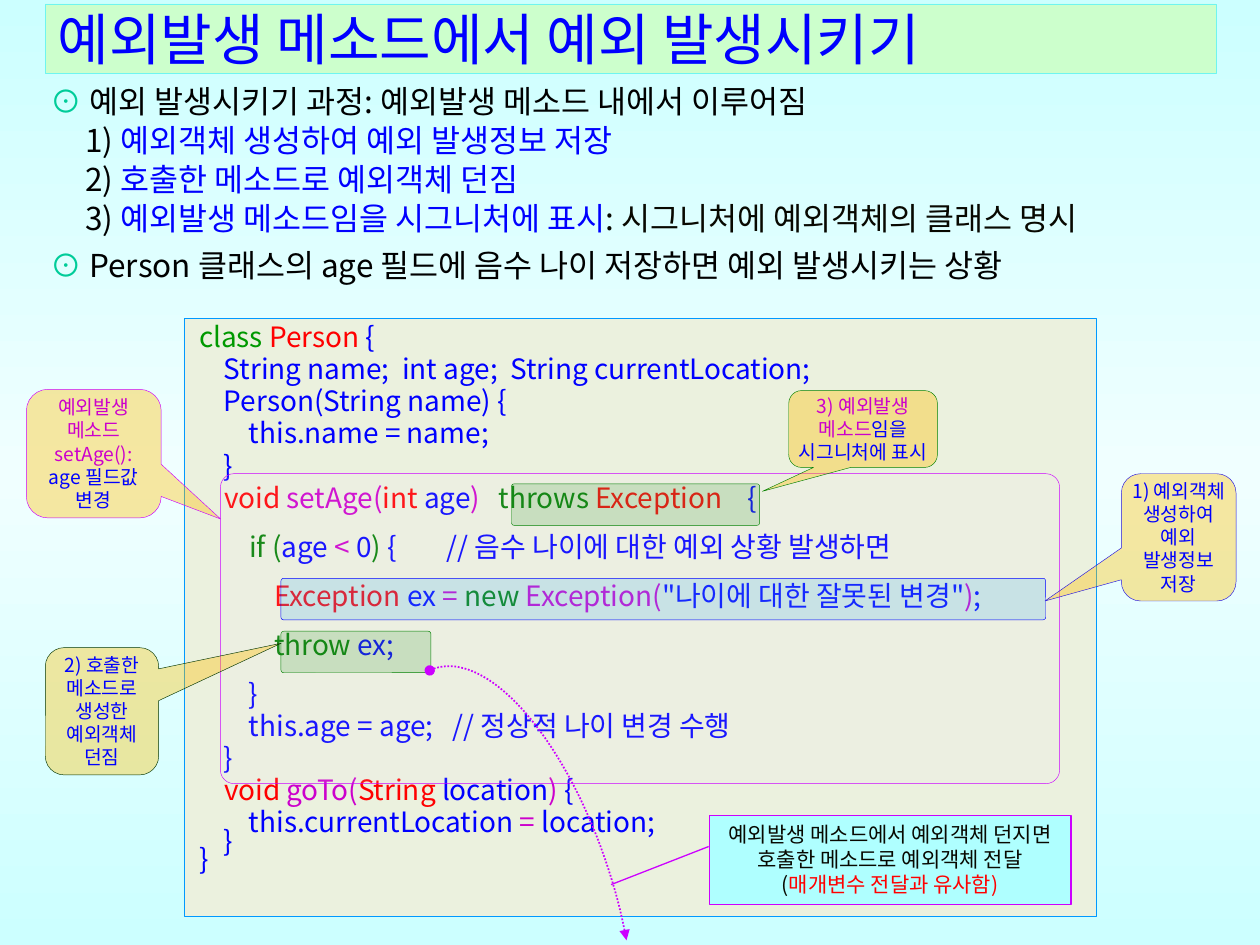
"""Build a slide on throwing exceptions from a Java method."""
from copy import deepcopy
from dataclasses import dataclass
from typing import NamedTuple, Optional

from lxml.etree import SubElement
from pptx import Presentation
from pptx.dml.color import RGBColor
from pptx.enum.dml import MSO_LINE
from pptx.enum.shapes import MSO_SHAPE as Preset
from pptx.enum.text import MSO_ANCHOR as Anchor, MSO_AUTO_SIZE as AutoSize, PP_ALIGN as Align
from pptx.oxml.ns import qn
from pptx.util import Emu, Pt

PX = 9144
FONT = "Noto Sans CJK KR"
BLUE, RED, MAGENTA, GREEN = "0000FF", "FF0000", "CC00CC", "008000"
BLACK, INK, TEAL, VIOLET = "000000", "080800", "00CC99", "CC00FF"
AMBER = "FFC000"


class Run(NamedTuple):
    text: str
    color: str = BLUE
    size: Optional[int] = None


class Para(NamedTuple):
    runs: list
    before: float = 0
    line: object = None
    indent: int = 0


@dataclass
class Panel:
    at: tuple
    fill: str
    line: str
    preset: Preset = Preset.RECTANGLE
    opacity: int = 100
    weight: float = 0.25
    adj: tuple = ()


def px(length: int) -> Emu:
    return Emu(length * PX)


def rgb(color: str) -> RGBColor:
    return RGBColor.from_string(color)


def style(shape, panel: Panel) -> None:
    """Apply fill, opacity and outline."""
    shape.fill.solid()
    shape.fill.fore_color.rgb = rgb(panel.fill)
    if panel.opacity < 100:
        tint = shape._element.spPr.find(qn("a:solidFill"))[0]
        SubElement(tint, qn("a:alpha")).set("val", str(panel.opacity * 1000))
    shape.line.color.rgb = rgb(panel.line)
    shape.line.width = Pt(panel.weight)


def add_panel(slide, panel: Panel):
    """Add one preset shape."""
    shape = slide.shapes.add_shape(panel.preset, *map(px, panel.at))
    shape.shadow.inherit = False
    for index, value in enumerate(panel.adj):
        shape.adjustments[index] = value
    style(shape, panel)
    return shape


def write(shape, paras: list, size: int, align=Align.CENTER, insets=(0, 0), anchor=Anchor.TOP) -> None:
    """Fill a shape with paragraphs, run by run."""
    frame = shape.text_frame
    frame.word_wrap = True
    frame.auto_size = AutoSize.NONE
    frame.vertical_anchor = anchor
    frame.margin_left = frame.margin_right = px(insets[0])
    frame.margin_top = frame.margin_bottom = px(insets[1])
    for index, para in enumerate(paras):
        paragraph = frame.add_paragraph() if index else frame.paragraphs[0]
        paragraph.alignment = align
        paragraph.space_before = Pt(para.before if index else 0)
        if para.line:
            paragraph.line_spacing = para.line
        if para.indent:
            paragraph._p.get_or_add_pPr().set("marL", str(px(para.indent)))
        for part in para.runs:
            run = paragraph.add_run()
            run.text = part.text
            run.font.size = Pt(part.size or size)
            run.font.color.rgb = rgb(part.color)
            run.font.name = FONT
            SubElement(run._r.get_or_add_rPr(), qn("a:ea")).set("typeface", FONT)


def code(*runs: Run, before: float = 2.4, line: int = 16) -> Para:
    return Para(list(runs), before, Pt(line), 12)


def bullet(text: str, before: float = 0) -> Para:
    return Para([Run("⊙", TEAL), Run(" ", "66FFFF", 20), Run(text, BLACK)], before, 0.9)


def step(number: int, text: str, *rest: Run) -> Para:
    return Para([Run(f"{number}) ", BLACK), Run(text), *rest], 2.7, 0.9, 28)


def callout(at: tuple, line: str, *adj: float) -> Panel:
    return Panel(at, AMBER, line, Preset.ROUNDED_RECTANGULAR_CALLOUT, 37, adj=(*adj, 0.167))


def highlight(at: tuple, color: str, line: str) -> Panel:
    return Panel(at, color, line, Preset.ROUNDED_RECTANGLE, 15, adj=(0.066,))


def paint_background(slide) -> None:
    """Lay a three-stop vertical gradient."""
    fill = slide.background.fill
    fill.gradient()
    fill.gradient_angle = 270
    stops = next(slide._element.iter(qn("a:gsLst")))
    stops.append(deepcopy(stops[0]))
    for stop, position, color in zip(fill.gradient_stops, (0, 0.5, 1), ("CCFFFF", "F0FFFF", "CCFFFF")):
        stop.position = position
        stop.color.rgb = rgb(color)


def add_throw_arc(slide) -> None:
    """Draw the dotted path from the throw statement to the caller."""
    arc = slide.shapes.add_shape(Preset.ARC, *map(px, (323, 521, 164, 389)))
    arc.shadow.inherit = False
    arc.rotation = 342.1
    arc.adjustments[0], arc.adjustments[1] = 161.199, 21.795
    arc.fill.background()
    arc.line.color.rgb = rgb(VIOLET)
    arc.line.width = Pt(1)
    arc.line.dash_style = MSO_LINE.ROUND_DOT
    outline = arc.line._get_or_add_ln()
    for end, kind in (("a:headEnd", "oval"), ("a:tailEnd", "triangle")):
        SubElement(outline, qn(end)).set("type", kind)


TITLE = Panel((36, 3, 929, 55), "CCFFCC", "6FF5EF")
SOURCE = Panel((146, 253, 724, 474), "EBF1DE", "0099FF")
METHOD = Panel((175, 376, 666, 246), "F9E1FF", VIOLET, Preset.ROUNDED_RECTANGLE, 10, adj=(0.044,))
NOTE = Panel((563, 647, 287, 71), "AFFFFF", VIOLET, Preset.LINE_CALLOUT_1, weight=0.75,
             adj=(0.35, -0.002, 0.776, -0.272))
HIGHLIGHTS = [
    highlight((406, 384, 197, 33), GREEN, GREEN),
    highlight((223, 459, 607, 33), "0099FF", BLUE),
    highlight((223, 501, 119, 33), GREEN, GREEN),
]
CALLOUTS = [
    (callout((21, 309, 107, 102), VIOLET, 0.941, 0.509),
     [Para([Run("예외발생 메소드 setAge():", MAGENTA)]), Para([Run("age 필드값 변경")])]),
    (callout((626, 310, 118, 61), GREEN, -0.677, 0.811),
     [Para([Run("3) 예외발생 메소드", MAGENTA), Run("임을 시그니처에 표시")])]),
    (callout((890, 376, 91, 101), "2213E3", -1.167, 0.5),
     [Para([Run("1) 예외객체 생성하여 예외 발생정보 저장")])]),
    (callout((36, 514, 90, 101), "003300", 1.58, -0.535),
     [Para([Run("2) 호출한 메소드로")]), Para([Run("생성한 예외객체 던짐")])]),
]
OUTLINE = [
    bullet("예외 발생시키기 과정: 예외발생 메소드 내에서 이루어짐"),
    step(1, "예외객체 생성하여 예외 발생정보 저장"),
    step(2, "호출한 메소드로 예외객체 던짐"),
    step(3, "예외발생 메소드임을 시그니처에 표시", Run(": 시그니처에 예외객체의 클래스 명시", INK)),
    bullet("Person 클래스의 age 필드에 음수 나이 저장하면 예외 발생시키는 상황", 6),
]
LISTING = [
    code(Run("class ", "009900"), Run("Person", RED), Run(" {")),
    code(Run("    String name;  int age;  String currentLocation;")),
    code(Run("    Person(String name) {")),
    code(Run("        this.name = name;")),
    code(Run("    }")),
    code(Run("    "), Run("void ", RED), Run("setAge(", MAGENTA), Run("int ", RED), Run("age"),
         Run(")   ", MAGENTA), Run("throws ", GREEN), Run("Exception", RED), Run("    {")),
    code(Run("        "), Run("if (", GREEN), Run("age "), Run("<", MAGENTA), Run(" 0"),
         Run(") ", GREEN), Run("{        // 음수 나이에 대한 예외 상황 발생하면"), before=12),
    code(Run("            "), Run("Exception", RED), Run(" ex "), Run("= ", MAGENTA),
         Run("new ", GREEN), Run("Exception(", MAGENTA), Run("\"나이에 대한 잘못된 변경\""),
         Run(")", MAGENTA), Run(";"), before=12),
    code(Run("            "), Run("throw ", GREEN), Run("ex;"), before=12),
    code(Run("        }"), before=12),
    code(Run("        this.age = age;   // 정상적 나이 변경 수행")),
    code(Run("    }")),
    code(Run("    "), Run("void ", RED), Run("goTo(", MAGENTA), Run("String ", RED),
         Run("location"), Run(") ", MAGENTA), Run("{")),
    code(Run("        this.currentLocation "), Run("=", MAGENTA), Run(" location;")),
    code(Run("    }"), line=8),
    code(Run("}"), line=8),
]
NOTE_TEXT = [
    Para([Run("예외발생 메소드에서 예외객체 던지면 호출한 메소드로 예외객체 전달", INK)]),
    Para([Run("(", INK), Run("매개변수 전달과 유사함)", RED)]),
]


def main() -> None:
    deck = Presentation()
    deck.slide_width, deck.slide_height = px(1000), px(750)
    slide = deck.slides.add_slide(deck.slide_layouts[5])
    paint_background(slide)
    title = slide.shapes.title
    title.left, title.top, title.width, title.height = map(px, TITLE.at)
    style(title, TITLE)
    write(title, [Para([Run("예외발생 메소드에서 예외 발생시키기")])], 32, Align.LEFT, (10, 5), Anchor.MIDDLE)
    write(add_panel(slide, SOURCE), LISTING, 16, Align.JUSTIFY, (0, 5))
    add_panel(slide, METHOD)
    outline = slide.shapes.add_textbox(*map(px, (30, 61, 933, 175)))
    write(outline, OUTLINE, 18, Align.JUSTIFY, (10, 5))
    for mark in HIGHLIGHTS:
        add_panel(slide, mark)
    for panel, paras in CALLOUTS:
        write(add_panel(slide, panel), paras, 11)
    add_throw_arc(slide)
    write(add_panel(slide, NOTE), NOTE_TEXT, 12, insets=(0, 5))
    deck.save("out.pptx")


if __name__ == "__main__":
    main()
